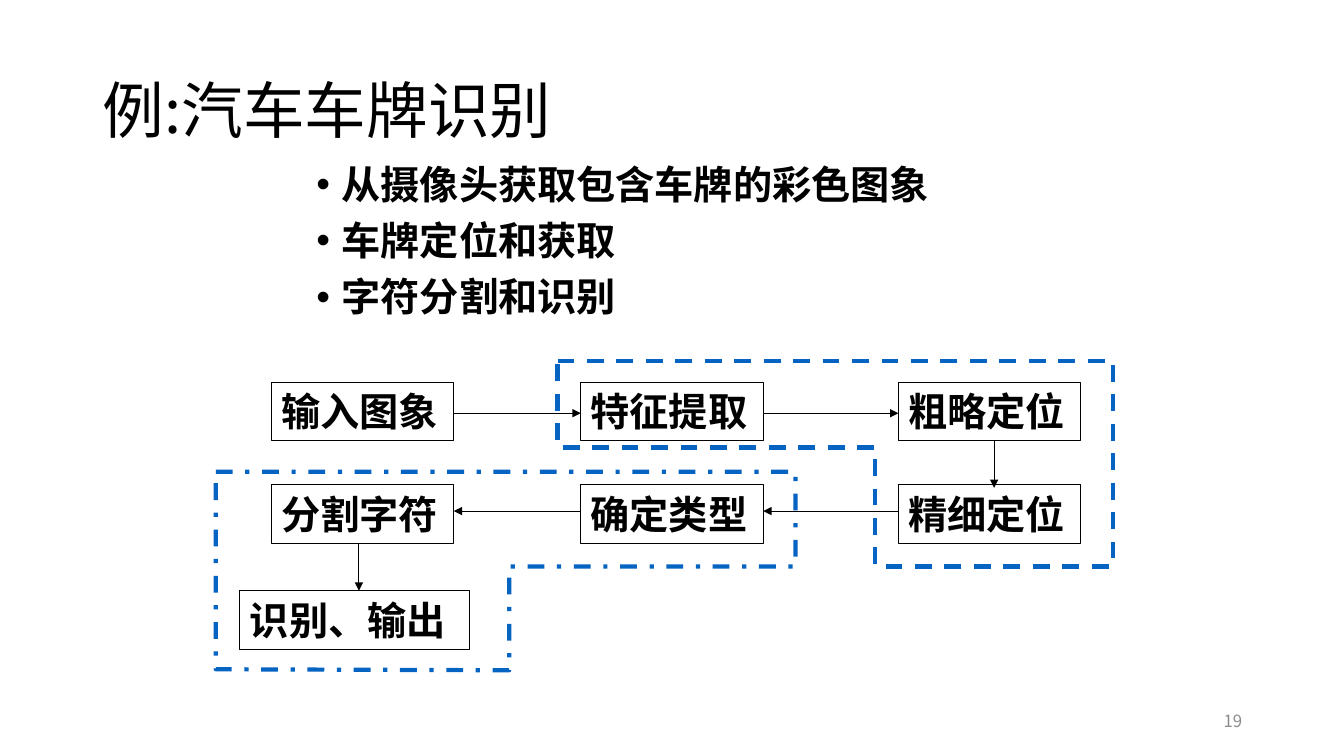
"""Build the slide on number plate recognition with its flow chart."""
from dataclasses import dataclass

from lxml.etree import SubElement
from pptx import Presentation
from pptx.dml.color import RGBColor
from pptx.enum.dml import MSO_LINE
from pptx.enum.shapes import MSO_CONNECTOR, MSO_SHAPE
from pptx.enum.text import MSO_ANCHOR, MSO_AUTO_SIZE, PP_ALIGN
from pptx.oxml.ns import qn
from pptx.util import Inches, Pt

FONT = "Noto Sans CJK SC"
HUES = {"ink": "000000", "zone": "0563C1", "page": "8C8C8C"}
COLS = (2.69, 5.76, 8.91)
ROWS = (3.79, 4.81, 5.86)
WIDE, HIGH = 1.81, 0.58
FLOW = (4.1, 5.07)


@dataclass
class Step:
    text: str
    left: float
    top: float
    width: float = WIDE


@dataclass
class Arrow:
    start: tuple[float, float]
    end: tuple[float, float]


@dataclass
class Zone:
    points: list[tuple[float, float]]
    dash: MSO_LINE


STEPS = [
    Step("输入图象", COLS[0], ROWS[0]),
    Step("特征提取", COLS[1], ROWS[0]),
    Step("粗略定位", COLS[2], ROWS[0]),
    Step("分割字符", COLS[0], ROWS[1]),
    Step("确定类型", COLS[1], ROWS[1]),
    Step("精细定位", COLS[2], ROWS[1]),
    Step("识别、输出", 2.38, ROWS[2], 2.28),
]
ARROWS = [
    Arrow((COLS[0] + WIDE, FLOW[0]), (COLS[1], FLOW[0])),
    Arrow((COLS[1] + WIDE, FLOW[0]), (COLS[2], FLOW[0])),
    Arrow((9.86, ROWS[0] + HIGH), (9.86, 4.84)),
    Arrow((COLS[2], FLOW[1]), (COLS[1] + WIDE, FLOW[1])),
    Arrow((COLS[1], FLOW[1]), (COLS[0] + WIDE, FLOW[1])),
    Arrow((3.56, ROWS[1] + HIGH), (3.56, ROWS[2])),
]
ZONES = [
    Zone([(5.53, 3.58), (11.04, 3.58), (11.04, 5.62), (8.68, 5.62),
          (8.68, 4.44), (5.53, 4.44)], MSO_LINE.DASH),
    Zone([(2.14, 4.68), (7.89, 4.68), (7.89, 5.62), (5.05, 5.62),
          (5.05, 6.65), (2.14, 6.64)], MSO_LINE.DASH_DOT),
]
POINTS = ["从摄像头获取包含车牌的彩色图象", "车牌定位和获取", "字符分割和识别"]


def tint(name: str) -> RGBColor:
    return RGBColor.from_string(HUES[name])


def style(frame, size: float, hue: str = "ink", bold: bool = False,
          side: PP_ALIGN = PP_ALIGN.LEFT) -> None:
    frame.word_wrap = True
    frame.auto_size = MSO_AUTO_SIZE.NONE
    for para in frame.paragraphs:
        para.alignment = side
        for run in para.runs:
            font = run.font
            font.size, font.bold, font.name = Pt(size), bold, FONT
            font.color.rgb = tint(hue)
            SubElement(font._element, qn("a:ea"), typeface=FONT)


def stroke(line, hue: str, width: float) -> None:
    line.color.rgb = tint(hue)
    line.width = Pt(width)


def add_title(slide) -> None:
    title = slide.shapes.title
    title.left, title.top = Inches(0.92), Inches(0.4)
    title.width, title.height = Inches(11.5), Inches(1.45)
    frame = title.text_frame
    frame.text = "例:汽车车牌识别"
    frame.vertical_anchor = MSO_ANCHOR.MIDDLE
    frame.paragraphs[0].line_spacing = 0.9
    style(frame, 44)


def add_points(slide) -> None:
    box = slide.shapes.add_textbox(
        Inches(3.04), Inches(1.59), Inches(7.64), Inches(2.1))
    frame = box.text_frame
    frame.text = "\n".join(POINTS)
    for para in frame.paragraphs:
        para.line_spacing = 0.9
        para.space_before = Pt(10)
        props = para._p.get_or_add_pPr()
        props.set("marL", str(Inches(0.25)))
        props.set("indent", str(Inches(-0.25)))
        SubElement(props, qn("a:buFont"), typeface="Arial")
        SubElement(props, qn("a:buChar"), char="•")
    style(frame, 28, bold=True)


def add_page(slide) -> None:
    box = slide.shapes.add_textbox(
        Inches(9.42), Inches(6.95), Inches(3), Inches(0.4))
    frame = box.text_frame
    frame.text = "19"
    frame.vertical_anchor = MSO_ANCHOR.MIDDLE
    style(frame, 12, "page", side=PP_ALIGN.RIGHT)


def add_step(slide, step: Step) -> None:
    box = slide.shapes.add_shape(
        MSO_SHAPE.RECTANGLE, Inches(step.left), Inches(step.top),
        Inches(step.width), Inches(HIGH))
    box.shadow.inherit = False
    box.fill.background()
    stroke(box.line, "ink", 0.75)
    box.text_frame.text = step.text
    style(box.text_frame, 28, bold=True)


def add_arrow(slide, arrow: Arrow) -> None:
    ends = [Inches(n) for n in (*arrow.start, *arrow.end)]
    link = slide.shapes.add_connector(MSO_CONNECTOR.STRAIGHT, *ends)
    stroke(link.line, "ink", 0.75)
    SubElement(link.line._get_or_add_ln(), qn("a:tailEnd"), type="triangle")
    SubElement(link._element.spPr, qn("a:effectLst"))


def add_zone(slide, zone: Zone) -> None:
    spots = [(Inches(x), Inches(y)) for x, y in zone.points]
    pen = slide.shapes.build_freeform(*spots[0])
    pen.add_line_segments(spots[1:], close=True)
    shape = pen.convert_to_shape()
    shape.shadow.inherit = False
    shape.fill.background()
    stroke(shape.line, "zone", 3)
    shape.line.dash_style = zone.dash


def main() -> None:
    deck = Presentation()
    deck.slide_width, deck.slide_height = Inches(13.33), Inches(7.5)
    slide = deck.slides.add_slide(deck.slide_layouts.get_by_name("Title Only"))
    add_page(slide)
    add_title(slide)
    add_points(slide)
    for step in STEPS:
        add_step(slide, step)
    for arrow in ARROWS:
        add_arrow(slide, arrow)
    for zone in ZONES:
        add_zone(slide, zone)
    deck.save("out.pptx")


if __name__ == "__main__":
    main()
